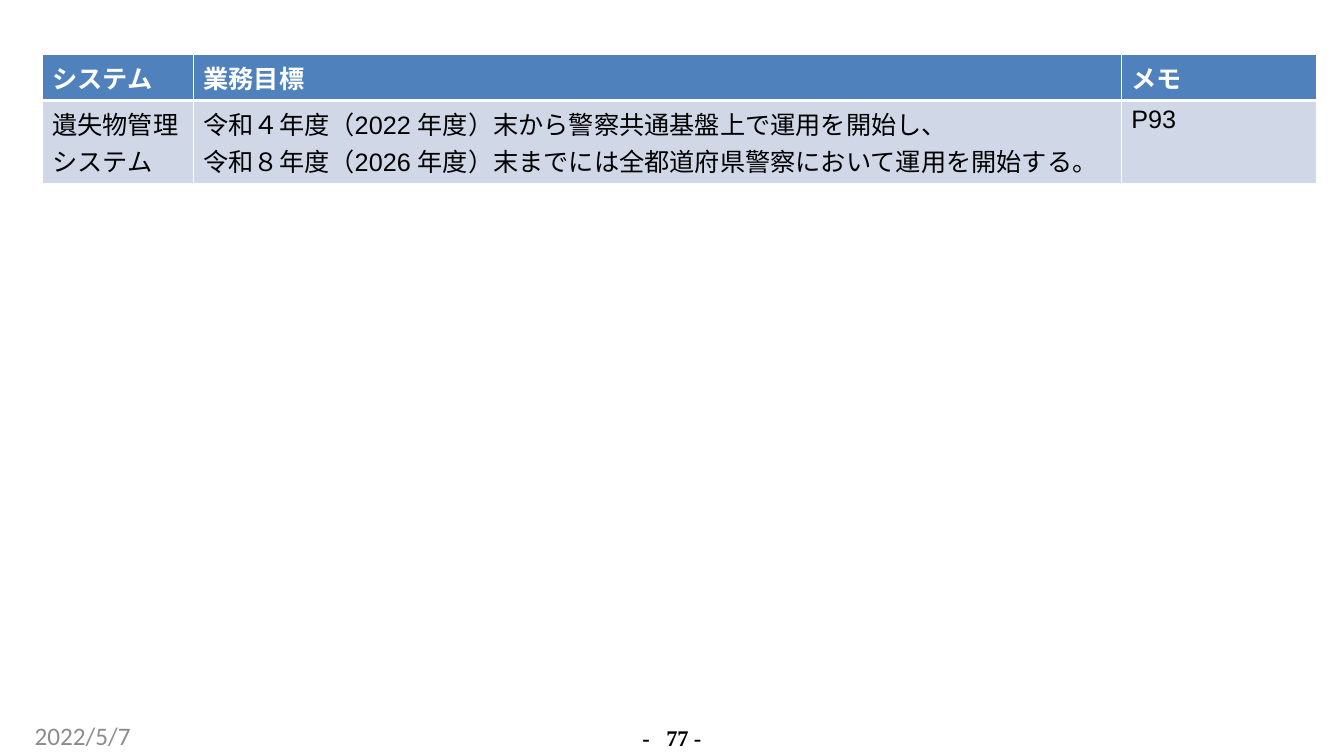
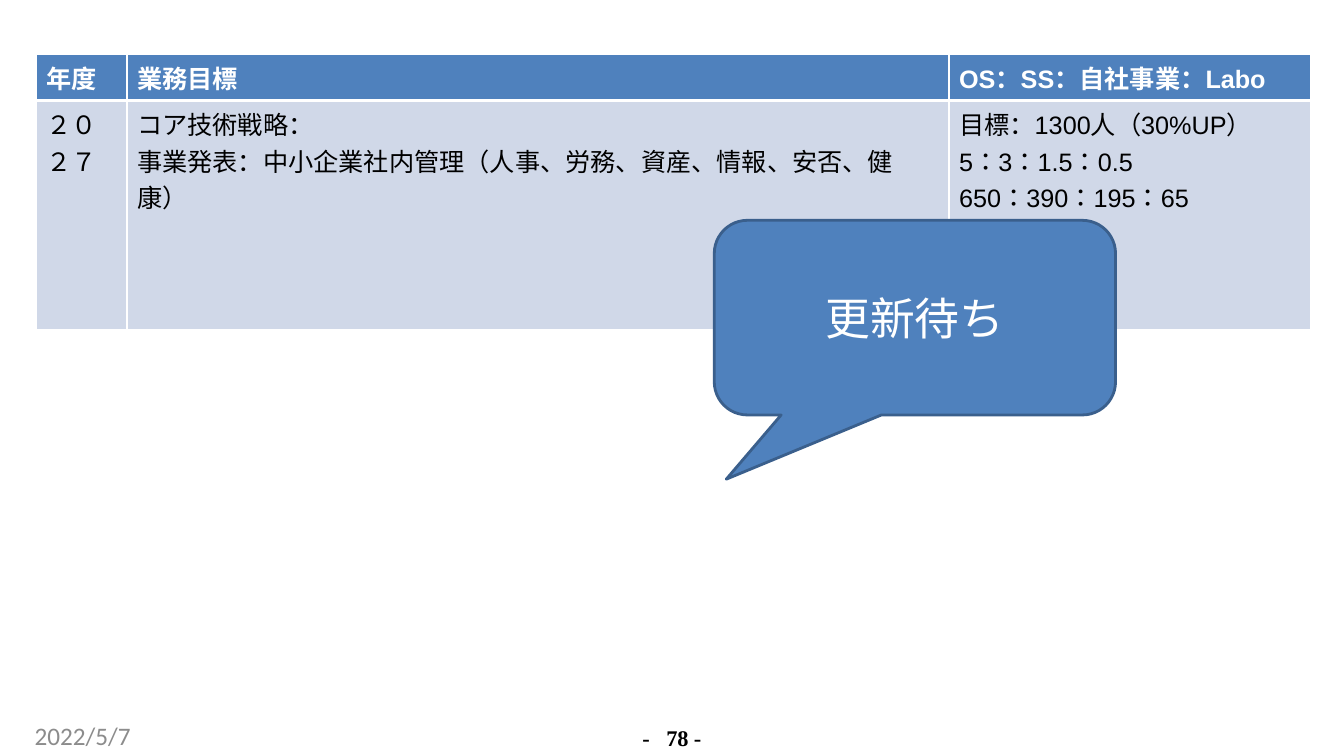
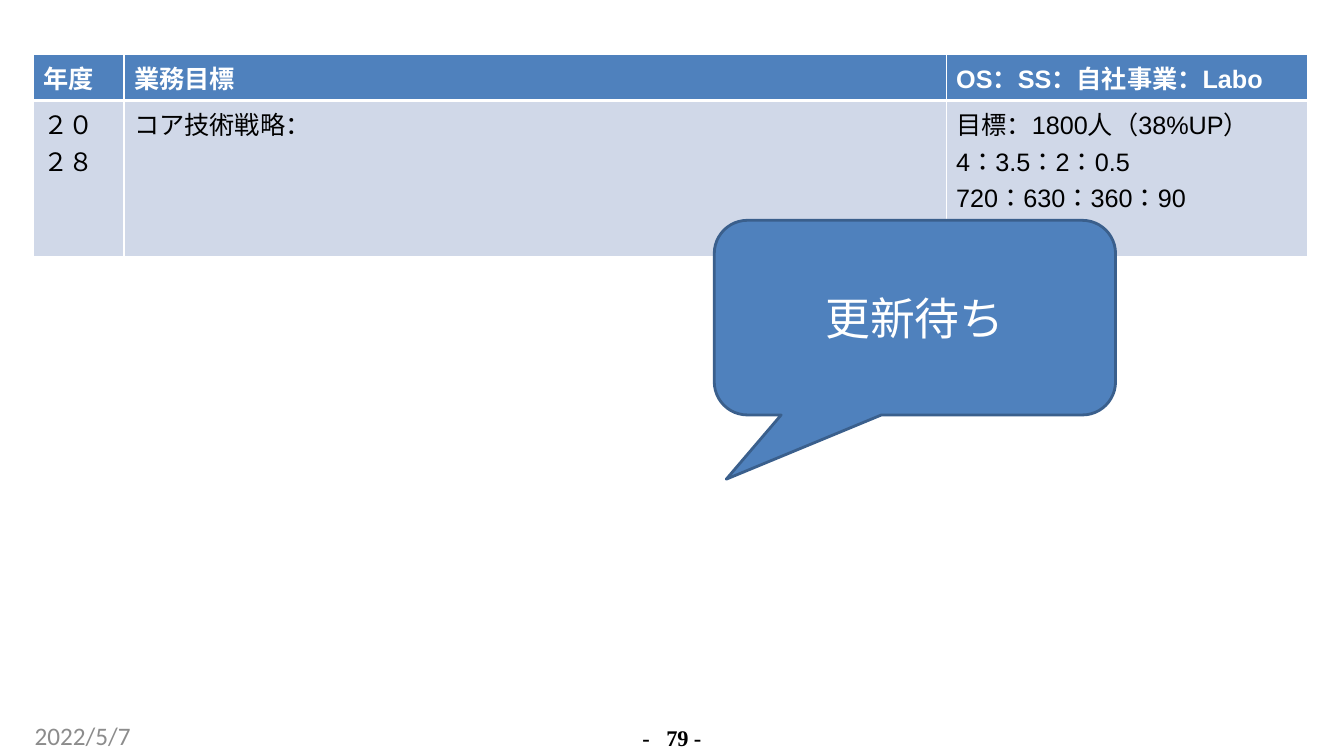
from dataclasses import dataclass

from lxml.etree import SubElement
from pptx import Presentation
from pptx.dml.color import RGBColor
from pptx.enum.shapes import MSO_SHAPE as Shape
from pptx.enum.text import MSO_ANCHOR as Anchor, PP_ALIGN as Align
from pptx.oxml.ns import qn
from pptx.util import Pt


@dataclass(frozen=True)
class Theme:
    white: str = "FFFFFF"
    black: str = "000000"
    blue: str = "4F81BD"
    dark_blue: str = "3A5F8C"
    pale_blue: str = "D0D8E8"
    grey: str = "8C8C8C"
    japanese: str = "Noto Sans CJK JP"
    table_font: str = "Arial"
    body_font: str = "Calibri"
    number_font: str = "Times New Roman"
    large: int = 32
    normal: int = 18
    small: int = 16


THEME = Theme()
FIRST_PAGE = 77
TABLE_TOP = 38.9
HEADER_HEIGHT = 33
YEAR_COLUMNS = [64.8, 587.2, 258.5]
YEAR_HEADER = ["年度", "業務目標", "OS：SS：自社事業：Labo"]


@dataclass(frozen=True)
class Goal:
    left: float
    columns: list
    header: list
    body: list
    body_height: float
    pending: bool = True


GOALS = [
    Goal(30.2, [108, 662.8, 139.3],
         ["システム", "業務目標", "メモ"],
         ["遺失物管理システム",
          "令和４年度（2022 年度）末から警察共通基盤上で運用を開始し、\n"
          "令和８年度（2026 年度）末までには全都道府県警察において運用を開始する。",
          "P93"],
         59, pending=False),
    Goal(25.9, YEAR_COLUMNS, YEAR_HEADER,
         ["２０２７",
          "コア技術戦略：\n事業発表：中小企業社内管理（人事、労務、資産、情報、安否、健康）",
          "目標：1300人（30%UP）\n5：3：1.5：0.5\n650：390：195：65"],
         163.6),
    Goal(23.8, YEAR_COLUMNS, YEAR_HEADER,
         ["２０２８",
          "コア技術戦略：",
          "目標：1800人（38%UP）\n4：3.5：2：0.5\n720：630：360：90"],
         111.5),
]


def write(frame, text, font, size, color, bold=False, align=Align.LEFT):
    frame.text = text
    for paragraph in frame.paragraphs:
        paragraph.alignment = align
        for run in paragraph.runs:
            run.font.name = font
            run.font.size = Pt(size)
            run.font.bold = bold
            run.font.color.rgb = RGBColor.from_string(color)
            SubElement(run.font._element, qn("a:ea"), typeface=THEME.japanese)


def add_footer_text(slide, box, *style, **options):
    """Write one line in a box without margins and return its paragraph."""
    frame = slide.shapes.add_textbox(*map(Pt, box)).text_frame
    frame.margin_left = frame.margin_right = 0
    frame.margin_top = frame.margin_bottom = 0
    frame.word_wrap = True
    write(frame, *style, **options)
    return frame.paragraphs[0]


def add_footer(slide, page):
    add_footer_text(slide, (24.8, 514.4, 221, 21.6), "2022/5/7",
                    THEME.body_font, THEME.normal, THEME.grey)
    number = add_footer_text(slide, (448.4, 517.7, 62, 18), f"-\t{page} -",
                             THEME.number_font, THEME.small, THEME.black,
                             bold=True, align=Align.CENTER)
    number.line_spacing = Pt(18.4)
    number.runs[0].font._element.set("spc", "-10")
    properties = number._p.get_or_add_pPr()
    properties.set("marL", str(Pt(0.9)))
    tabs = SubElement(properties, qn("a:tabLst"))
    SubElement(tabs, qn("a:tab"), pos=str(Pt(17.3)), algn="l")


def set_borders(cell, **widths):
    """Draw white borders; widths are keyed by side letter L, R, T or B."""
    properties = cell._tc.get_or_add_tcPr()
    for side, width in widths.items():
        line = SubElement(properties, qn(f"a:ln{side}"), w=str(Pt(width)))
        fill = SubElement(line, qn("a:solidFill"))
        SubElement(fill, qn("a:srgbClr"), val=THEME.white)


def fill_row(table, row, texts, fill, color, bold, top, bottom):
    for column, text in enumerate(texts):
        cell = table.cell(row, column)
        set_borders(cell, L=1, R=1, T=top, B=bottom)
        cell.fill.solid()
        cell.fill.fore_color.rgb = RGBColor.from_string(fill)
        write(cell.text_frame, text, THEME.table_font, THEME.normal, color, bold)


def add_goal_table(slide, goal):
    heights = [HEADER_HEIGHT, goal.body_height]
    table = slide.shapes.add_table(
        len(heights), len(goal.columns), Pt(goal.left), Pt(TABLE_TOP),
        Pt(sum(goal.columns)), Pt(sum(heights))).table
    table.horz_banding = False
    for column, width in zip(table.columns, goal.columns):
        column.width = Pt(width)
    for row, height in zip(table.rows, heights):
        row.height = Pt(height)
    fill_row(table, 0, goal.header, THEME.blue, THEME.white, True, top=1, bottom=3)
    fill_row(table, 1, goal.body, THEME.pale_blue, THEME.black, False, top=3, bottom=1)


def add_pending_callout(slide):
    callout = slide.shapes.add_shape(Shape.ROUNDED_RECTANGULAR_CALLOUT,
                                     Pt(510.2), Pt(157.4), Pt(286.6), Pt(139))
    for index, value in enumerate((-0.47, 0.83, 0.17)):
        callout.adjustments[index] = value
    callout.shadow.inherit = False
    callout.fill.solid()
    callout.fill.fore_color.rgb = RGBColor.from_string(THEME.blue)
    callout.line.color.rgb = RGBColor.from_string(THEME.dark_blue)
    callout.line.width = Pt(2)
    callout.text_frame.vertical_anchor = Anchor.MIDDLE
    write(callout.text_frame, "更新待ち", THEME.body_font, THEME.large,
          THEME.white, align=Align.CENTER)


def main():
    deck = Presentation()
    deck.slide_width, deck.slide_height = Pt(960), Pt(540)
    blank = deck.slide_layouts[6]
    for page, goal in enumerate(GOALS, FIRST_PAGE):
        slide = deck.slides.add_slide(blank)
        add_footer(slide, page)
        add_goal_table(slide, goal)
        if goal.pending:
            add_pending_callout(slide)
    deck.save("out.pptx")


if __name__ == "__main__":
    main()
